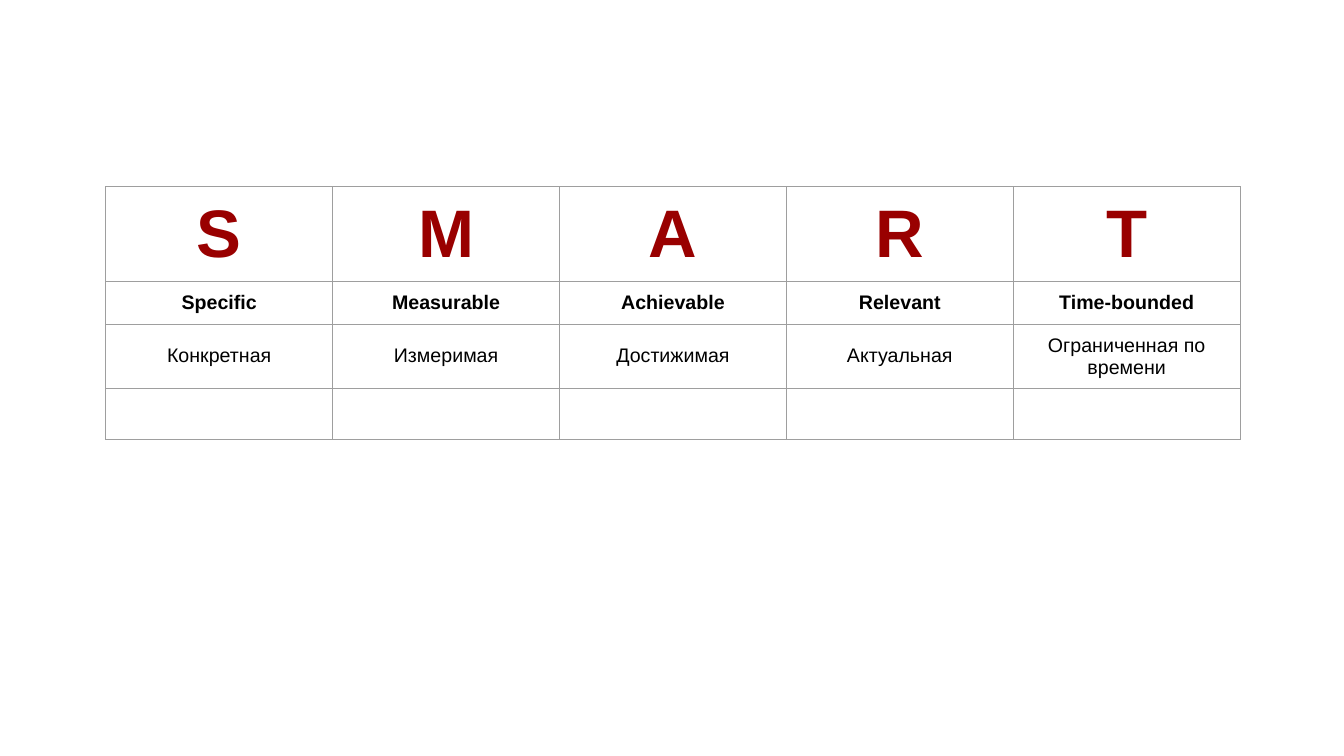
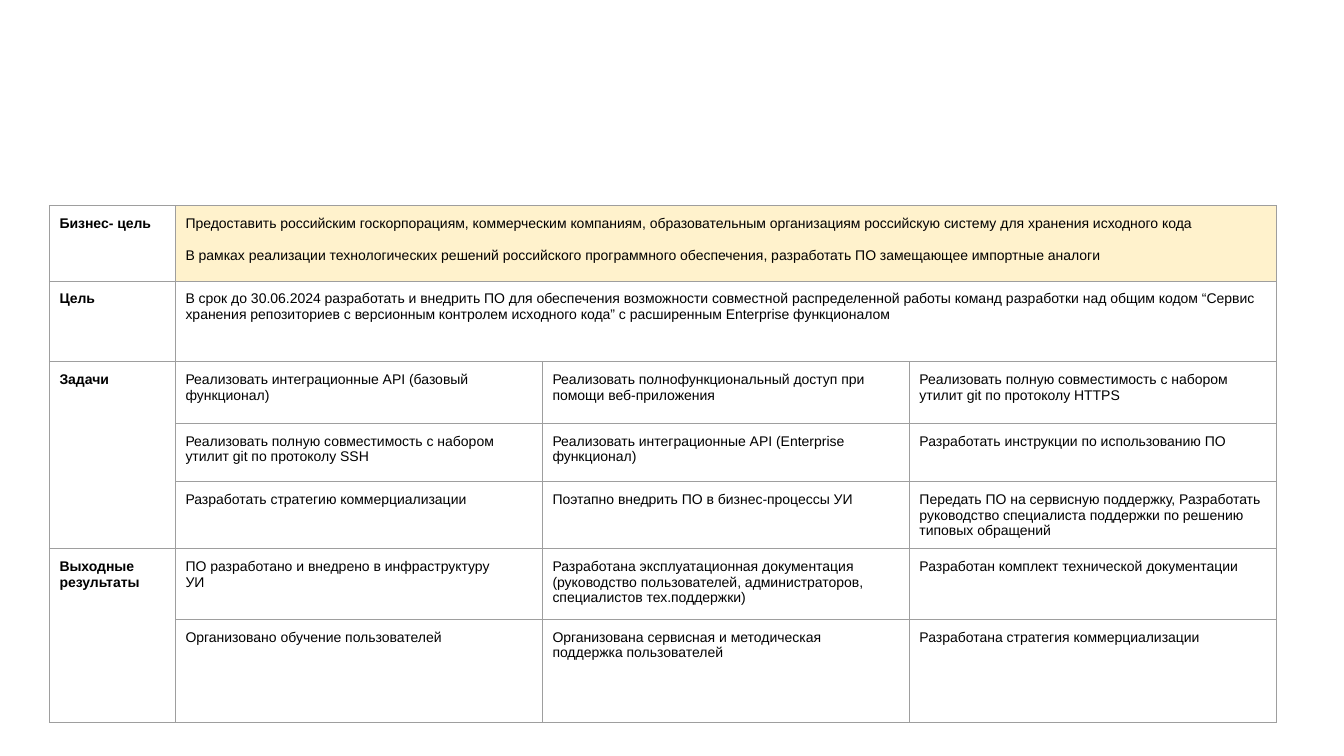
"""Build two slides of tables: the SMART criteria and the goals of a project."""
from lxml import etree
from pptx import Presentation
from pptx.dml.color import RGBColor
from pptx.enum.text import MSO_ANCHOR, PP_ALIGN
from pptx.oxml.ns import qn
from pptx.util import Inches, Pt

TOP, MIDDLE = MSO_ANCHOR.TOP, MSO_ANCHOR.MIDDLE
LEFT, CENTER, JUSTIFY = PP_ALIGN.LEFT, PP_ALIGN.CENTER, PP_ALIGN.JUSTIFY
FONT = "Arial"
BLACK, RED, CREAM, GREY = "000000", "990000", "FFF2CC", "9E9E9E"
BORDER_WIDTH = Pt(0.75)
PADDING = Inches(0.1)


def add_grid(page, left, top, widths, heights):
    """Add an unfilled table with thin grey borders and return it."""
    table = page.shapes.add_table(
        len(heights), len(widths), Inches(left), Inches(top),
        Inches(sum(widths)), Inches(sum(heights))).table
    table.first_row = table.horz_banding = False
    for column, width in zip(table.columns, widths):
        column.width = Inches(width)
    for row, height in zip(table.rows, heights):
        row.height = Inches(height)
    for cell in table.iter_cells():
        cell.margin_left = cell.margin_right = PADDING
        cell.margin_top = cell.margin_bottom = PADDING
        properties = cell._tc.get_or_add_tcPr()
        for side in ("a:lnL", "a:lnR", "a:lnT", "a:lnB"):
            line = etree.SubElement(properties, qn(side), w=str(BORDER_WIDTH))
            fill = etree.SubElement(line, qn("a:solidFill"))
            etree.SubElement(fill, qn("a:srgbClr"), val=GREY)
        cell.fill.background()
    return table


def write(cell, text, size, bold=False, color=BLACK, align=LEFT, anchor=TOP):
    """Fill a cell with text in one style."""
    cell.text_frame.text = text
    cell.vertical_anchor = anchor
    for para in cell.text_frame.paragraphs:
        para.alignment = align
        for span in para.runs:
            span.font.name = FONT
            span.font.size = Pt(size)
            span.font.bold = bold
            span.font.color.rgb = RGBColor.from_string(color)


deck = Presentation()
deck.slide_width, deck.slide_height = Inches(13.33), Inches(7.5)
blank = deck.slide_layouts[6]

criteria = [
    ("S", "Specific", "Конкретная"),
    ("M", "Measurable", "Измеримая"),
    ("A", "Achievable", "Достижимая"),
    ("R", "Relevant", "Актуальная"),
    ("T", "Time-bounded", "Ограниченная по времени"),
]
page = deck.slides.add_slide(blank)
smart = add_grid(page, 1.05, 1.85, [2.25] * 5, [0.94, 0.42, 0.63, 0.49])
for column, (letter, english, russian) in enumerate(criteria):
    write(smart.cell(0, column), letter, 48, True, RED, CENTER)
    write(smart.cell(1, column), english, 14, True, align=CENTER, anchor=MIDDLE)
    write(smart.cell(2, column), russian, 14, align=CENTER, anchor=MIDDLE)

sections = [
    ("Бизнес- цель", [[
        "Предоставить российским госкорпорациям, коммерческим компаниям, "
        "образовательным организациям российскую систему для хранения исходного кода\n"
        "В рамках реализации технологических решений российского программного "
        "обеспечения, разработать ПО замещающее импортные аналоги"]]),
    ("Цель", [[
        "В срок до 30.06.2024 разработать и внедрить ПО для обеспечения возможности "
        "совместной распределенной работы команд разработки над общим кодом “Сервис "
        "хранения репозиториев с версионным контролем исходного кода” с расширенным "
        "Enterprise функционалом"]]),
    ("Задачи", [
        ["Реализовать интеграционные API (базовый функционал)",
         "Реализовать полнофункциональный доступ при помощи веб-приложения",
         "Реализовать полную совместимость с набором утилит git по протоколу HTTPS"],
        ["Реализовать полную совместимость с набором утилит git по протоколу SSH",
         "Реализовать интеграционные API (Enterprise функционал)",
         "Разработать инструкции по использованию ПО"],
        ["Разработать стратегию коммерциализации",
         "Поэтапно внедрить ПО в бизнес-процессы УИ",
         "Передать ПО на сервисную поддержку, Разработать руководство специалиста "
         "поддержки по решению типовых обращений"]]),
    ("Выходные результаты", [
        ["ПО разработано и внедрено в инфраструктуру\nУИ",
         "Разработана эксплуатационная документация (руководство пользователей, "
         "администраторов, специалистов тех.поддержки)",
         "Разработан комплект технической документации"],
        ["Организовано обучение пользователей",
         "Организована сервисная и методическая\nподдержка пользователей",
         "Разработана стратегия коммерциализации"]]),
]
page = deck.slides.add_slide(blank)
goals = add_grid(page, 0.49, 2.04, [1.25] + [3.64] * 3,
                 [0.75, 0.8, 0.61, 0.58, 0.66, 0.7, 1.02])
first = 0
for heading, lines in sections:
    last = first + len(lines) - 1
    if last > first:
        goals.cell(first, 0).merge(goals.cell(last, 0))
    write(goals.cell(first, 0), heading, 10, True)
    for row, texts in enumerate(lines, first):
        if len(texts) == 1:
            goals.cell(row, 1).merge(goals.cell(row, 3))
        for column, text in enumerate(texts, 1):
            write(goals.cell(row, column), text, 10)
    first = last + 1

business_goal = goals.cell(0, 1)
business_goal.fill.solid()
business_goal.fill.fore_color.rgb = RGBColor.from_string(CREAM)
for para in business_goal.text_frame.paragraphs:
    para.alignment = JUSTIFY
business_goal.text_frame.paragraphs[1].space_before = Pt(11.5)

deck.save("out.pptx")
